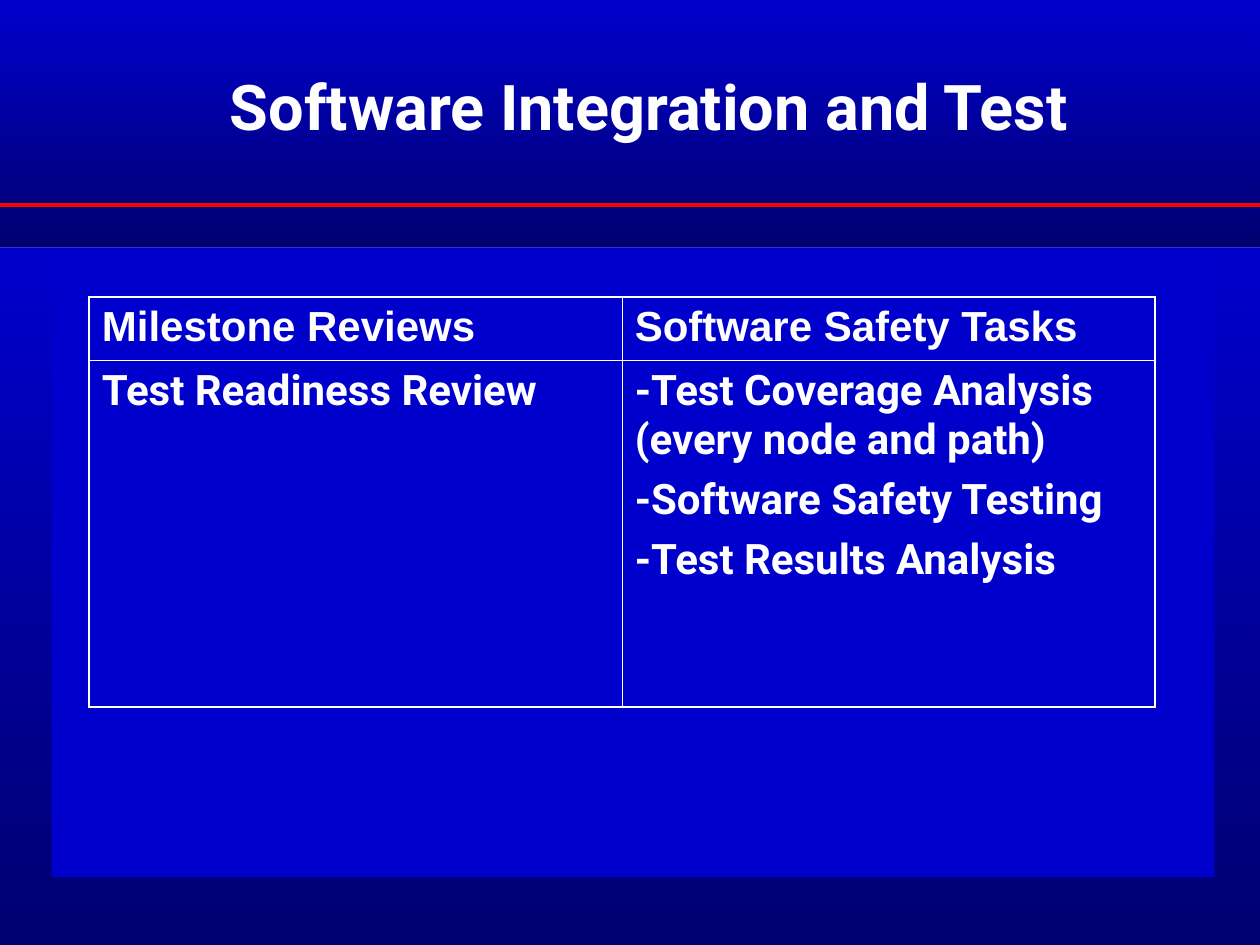
import dataclasses

import lxml.etree
import pptx
import pptx.dml.color
import pptx.enum.shapes
import pptx.enum.text
import pptx.oxml.ns
import pptx.util
from pptx.util import Cm


@dataclasses.dataclass(frozen=True)
class Theme:
    """Colours, fonts and sizes of the deck."""

    ground: str = "3333CC"
    bright: str = "0000CC"
    dark: str = "000071"
    rule: str = "FF0000"
    text: str = "FFFFFF"
    body_font: str = "Roboto"
    header_font: str = "Arial"
    title_size: float = 36
    body_size: float = 24
    space_before: float = 6
    rule_width: float = 2.25
    outer_border: float = 1.08
    inner_border: float = 0.45


@dataclasses.dataclass(frozen=True)
class Box:
    """A region given in centimetres."""

    left: float
    top: float
    width: float
    height: float

    def inner(self, left, top, width, height):
        """Return a box placed relative to this one."""
        return Box(self.left + left, self.top + top, width, height)

    def lengths(self):
        """Return left, top, width and height as lengths."""
        return [Cm(value) for value in dataclasses.astuple(self)]


THEME = Theme()
ROWS = [
    (["Milestone Reviews"], ["Software Safety Tasks"]),
    (
        ["Test Readiness Review"],
        [
            "-Test Coverage Analysis (every node and path)",
            "-Software Safety Testing",
            "-Test Results Analysis",
        ],
    ),
]
ROW_HEIGHTS = [1.27, 6.99]


def colour(code):
    """Return the colour for a hexadecimal code."""
    return pptx.dml.color.RGBColor.from_string(code)


def style_text(frame, font, size):
    """Format every run of a text frame."""
    for para in frame.paragraphs:
        for span in para.runs:
            span.font.name = font
            span.font.size = pptx.util.Pt(size)
            span.font.bold = True
            span.font.color.rgb = colour(THEME.text)


def add_panel(page, box, top_colour, bottom_colour=None):
    """Add a borderless rectangle with a plain or downward graded fill."""
    panel = page.shapes.add_shape(
        pptx.enum.shapes.MSO_SHAPE.RECTANGLE, *box.lengths()
    )
    panel.shadow.inherit = False
    panel.line.fill.background()
    if bottom_colour is None:
        panel.fill.solid()
        panel.fill.fore_color.rgb = colour(top_colour)
        return
    panel.fill.gradient()
    panel.fill.gradient_angle = 270
    for stop, code, position in zip(
        panel.fill.gradient_stops, (top_colour, bottom_colour), (0, 1)
    ):
        stop.color.rgb = colour(code)
        stop.position = position


def add_rule(page, box, offset):
    """Draw the red line across a box."""
    left, top, width, _ = box.inner(0, offset, box.width, 0).lengths()
    rule = page.shapes.add_connector(
        pptx.enum.shapes.MSO_CONNECTOR.STRAIGHT, left, top, left + width, top
    )
    rule.line.color.rgb = colour(THEME.rule)
    rule.line.width = pptx.util.Pt(THEME.rule_width)
    lxml.etree.SubElement(
        rule.element.spPr, pptx.oxml.ns.qn("a:effectLst")
    )


def build_header(page, box):
    """Build the title band with its rule and title."""
    add_panel(page, box, THEME.bright, THEME.dark)
    add_rule(page, box, 4.14)
    title = page.shapes.title
    page.shapes.element.append(title.element)
    title.left, title.top, title.width, title.height = box.inner(
        3.61, 0.64, 18.95, 2.97
    ).lengths()
    frame = title.text_frame
    frame.text = "Software Integration and Test"
    frame.word_wrap = True
    frame.auto_size = pptx.enum.text.MSO_AUTO_SIZE.NONE
    frame.vertical_anchor = pptx.enum.text.MSO_ANCHOR.MIDDLE
    frame.paragraphs[0].alignment = pptx.enum.text.PP_ALIGN.CENTER
    style_text(frame, THEME.body_font, THEME.title_size)


def set_borders(cell, outer_sides):
    """Give a cell thick outer and thin inner borders."""
    properties = cell._tc.get_or_add_tcPr()
    qn = pptx.oxml.ns.qn
    for side in "LRTB":
        width = THEME.outer_border if side in outer_sides else THEME.inner_border
        line = lxml.etree.SubElement(
            properties, qn(f"a:ln{side}"), w=str(pptx.util.Pt(width))
        )
        fill = lxml.etree.SubElement(line, qn("a:solidFill"))
        lxml.etree.SubElement(fill, qn("a:srgbClr"), val=THEME.text)


def fill_cell(cell, lines, font):
    """Write the paragraphs of a cell."""
    frame = cell.text_frame
    frame.text = "\n".join(lines)
    for para in frame.paragraphs[1:]:
        para.space_before = pptx.util.Pt(THEME.space_before)
    style_text(frame, font, THEME.body_size)


def add_review_table(page, box):
    """Add the table of reviews and safety tasks."""
    table = page.shapes.add_table(len(ROWS), len(ROWS[0]), *box.lengths()).table
    table.first_row = False
    table.horz_banding = False
    for row, height in zip(table.rows, ROW_HEIGHTS):
        row.height = Cm(height)
    for row_index, row in enumerate(ROWS):
        font = THEME.body_font if row_index else THEME.header_font
        for column_index, lines in enumerate(row):
            cell = table.cell(row_index, column_index)
            set_borders(cell, "TB"[row_index] + "LR"[column_index])
            cell.fill.background()
            fill_cell(cell, lines, font)


def build_body(page, box):
    """Build the graded body with its panel and table."""
    add_panel(page, box, THEME.bright, THEME.dark)
    add_panel(page, box.inner(1.04, 0.03, 23.44, 12.65), THEME.bright)
    add_review_table(page, box.inner(1.8, 0.99, 21.49, sum(ROW_HEIGHTS)))


def main():
    """Build and save the deck."""
    deck = pptx.Presentation()
    deck.slide_width, deck.slide_height = Cm(25.4), Cm(19.05)
    page = deck.slides.add_slide(deck.slide_layouts[5])
    page.background.fill.solid()
    page.background.fill.fore_color.rgb = colour(THEME.ground)
    build_header(page, Box(0, 0, 25.4, 4.98))
    build_body(page, Box(0, 5, 25.4, 14.05))
    deck.save("out.pptx")


if __name__ == "__main__":
    main()
